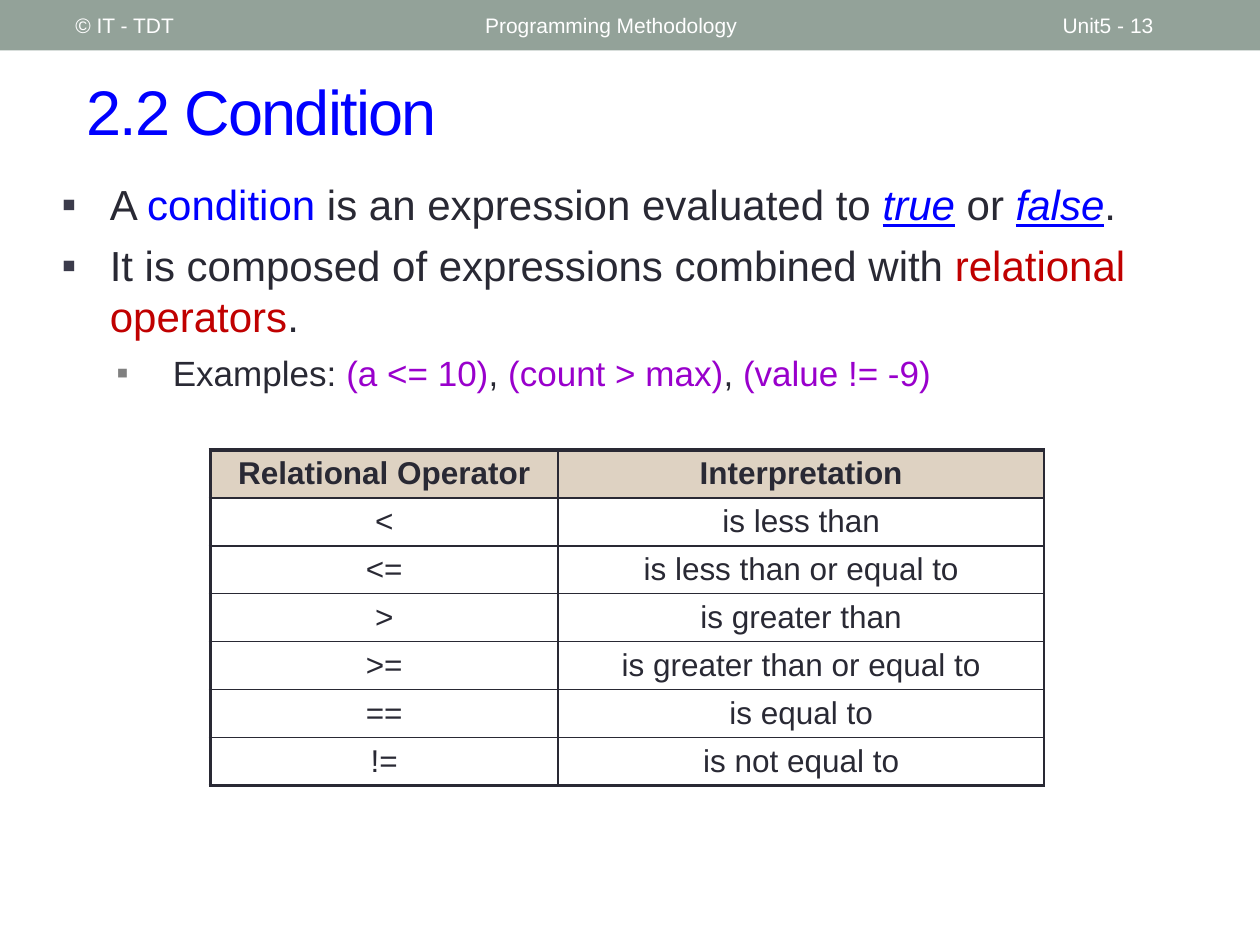
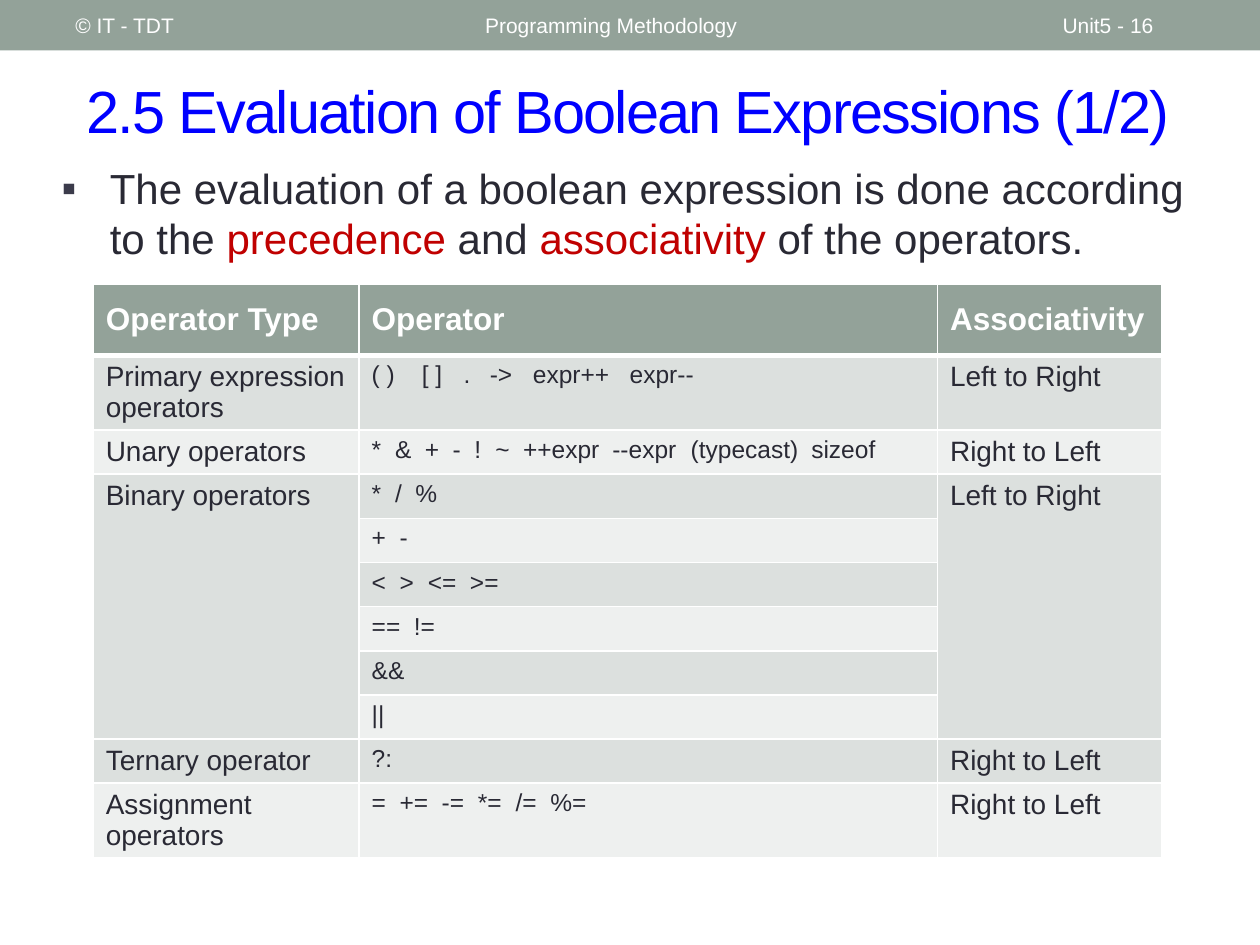
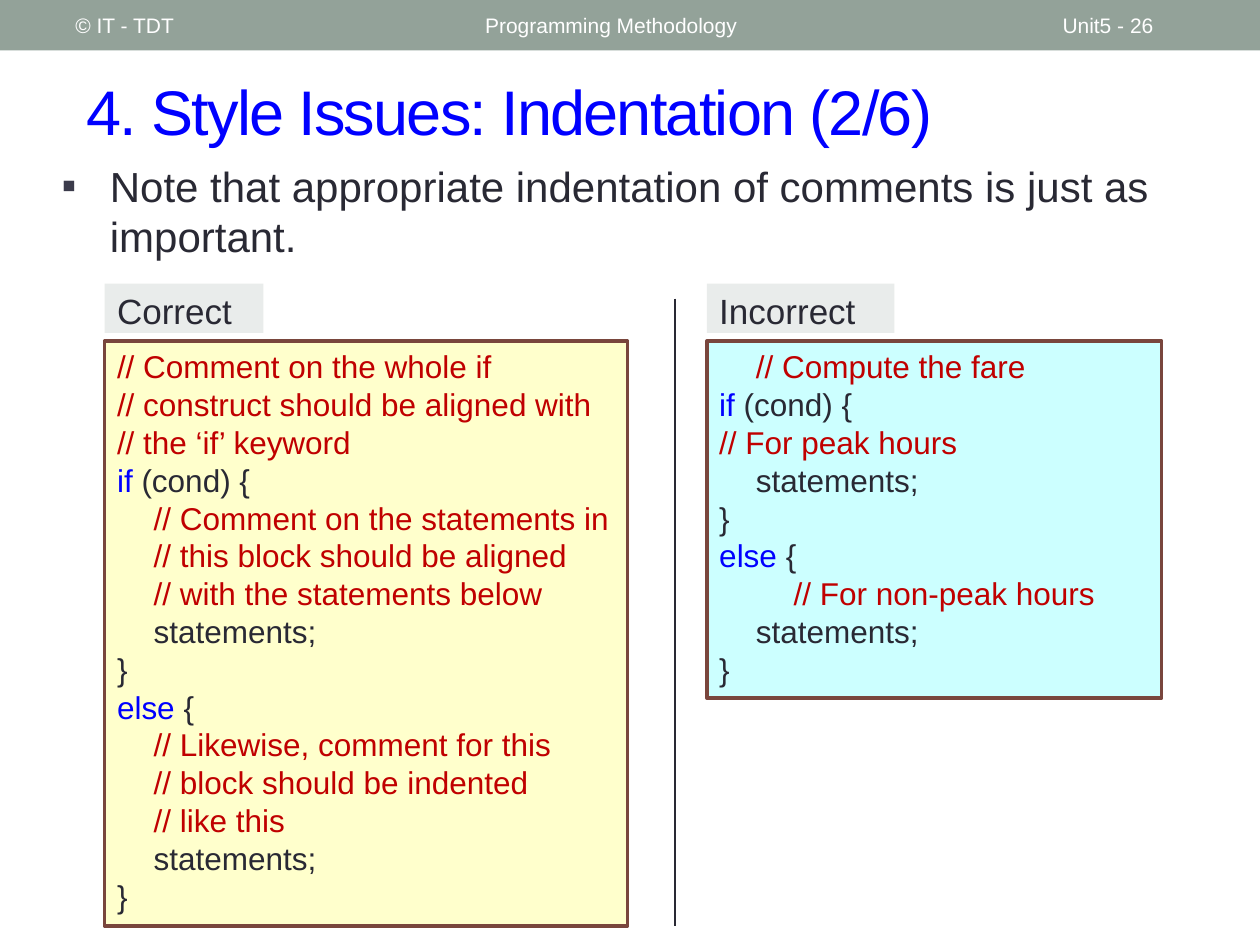
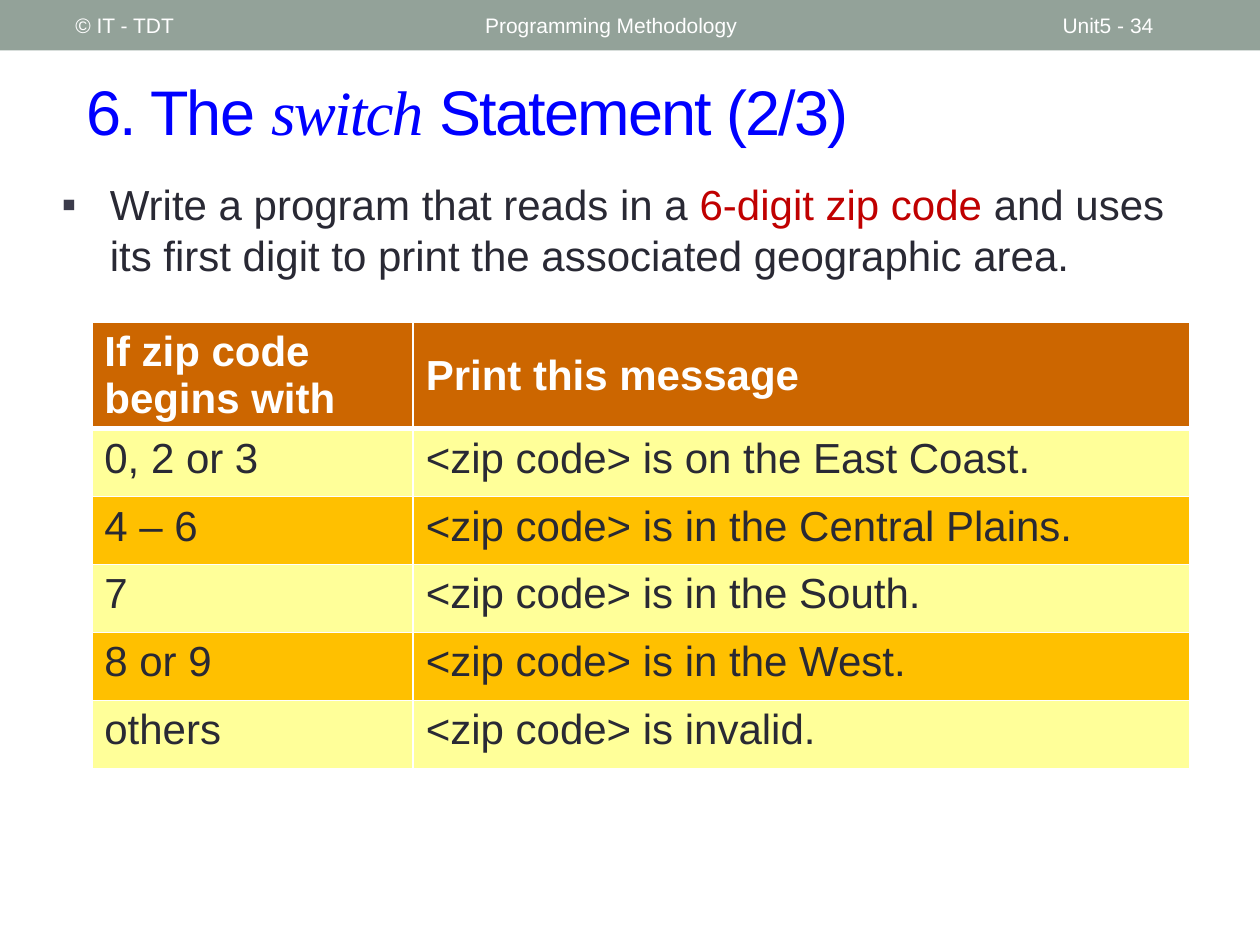
from lxml import etree
from pptx import Presentation
from pptx.dml.color import RGBColor
from pptx.enum.shapes import MSO_CONNECTOR, MSO_SHAPE
from pptx.enum.text import MSO_ANCHOR, MSO_AUTO_SIZE, PP_ALIGN
from pptx.oxml.ns import qn
from pptx.util import Cm, Pt

TOP, MIDDLE = MSO_ANCHOR.TOP, MSO_ANCHOR.MIDDLE
LEFT, CENTER = PP_ALIGN.LEFT, PP_ALIGN.CENTER
NO_AUTOFIT = MSO_AUTO_SIZE.NONE
RECTANGLE, STRAIGHT = MSO_SHAPE.RECTANGLE, MSO_CONNECTOR.STRAIGHT

INK = RGBColor(0x29, 0x29, 0x34)
SAGE = RGBColor(0x93, 0xA2, 0x99)
WHITE = RGBColor(0xFF, 0xFF, 0xFF)
BLUE = RGBColor(0x00, 0x00, 0xFF)
RED = RGBColor(0xC0, 0x00, 0x00)
PURPLE = RGBColor(0x99, 0x00, 0xCC)
BULLET_DARK = RGBColor(0x3B, 0x3B, 0x4B)
BULLET_GREY = RGBColor(0x80, 0x80, 0x80)
SAND = RGBColor(0xDE, 0xD2, 0xC2)
BAND_DARK = RGBColor(0xDC, 0xE0, 0xDE)
BAND_LIGHT = RGBColor(0xEE, 0xF0, 0xEF)
LABEL_GREY = RGBColor(0xE9, 0xEC, 0xEB)
CREAM = RGBColor(0xFF, 0xFF, 0xCC)
AQUA = RGBColor(0xCC, 0xFF, 0xFF)
BROWN = RGBColor(0x79, 0x46, 0x3D)
ORANGE = RGBColor(0xCC, 0x66, 0x00)
AMBER = RGBColor(0xFF, 0xC0, 0x00)
LEMON = RGBColor(0xFF, 0xFF, 0x99)

FONT = "Arial"
# Per list level: text indent, hanging indent, size, bullet colour
LEVELS = [(Cm(0.97), Cm(-0.97), 24, BULLET_DARK),
          (Cm(2.24), Cm(-1.14), 20, BULLET_GREY)]
CODE_TABS = (0.74, 1.5)
KEYWORDS = ("if", "else")


def write(paragraph, text, size=18, color=INK, font=FONT, bold=False,
          italic=False, underline=False, tracking=None):
    run = paragraph.add_run()
    run.text = text
    run.font.name, run.font.size = font, Pt(size)
    run.font.color.rgb = color
    run.font.bold, run.font.italic = bold, italic
    run.font.underline = underline
    if tracking is not None:
        run._r.get_or_add_rPr().set("spc", str(tracking * 100))


def write_runs(paragraph, runs, **style):
    """Write plain strings in the given style and (text, changes) pairs."""
    for part in runs:
        text, changes = (part, {}) if isinstance(part, str) else part
        write(paragraph, text, **{**style, **changes})


def add_solid(parent, tag, color):
    holder = etree.SubElement(parent, qn(tag))
    etree.SubElement(holder, qn("a:srgbClr"), val=str(color))


def set_bullet(paragraph, level):
    indent, hanging, _, color = LEVELS[level]
    properties = paragraph._p.get_or_add_pPr()
    properties.set("marL", str(indent))
    properties.set("indent", str(hanging))
    add_solid(properties, "a:buClr", color)
    etree.SubElement(properties, qn("a:buFont"), typeface=FONT)
    etree.SubElement(properties, qn("a:buChar"), char="▪")


def set_tabs(paragraph, stops):
    tabs = etree.SubElement(paragraph._p.get_or_add_pPr(), qn("a:tabLst"))
    for stop in stops:
        etree.SubElement(tabs, qn("a:tab"), pos=str(Cm(stop)), algn="l")


def set_borders(cell, color, **widths):
    """Draw the cell edges L, R, T and B with widths in points."""
    properties = cell._tc.get_or_add_tcPr()
    for position, edge in enumerate("LRTB"):
        line = etree.Element(qn(f"a:ln{edge}"), w=str(Pt(widths[edge])))
        add_solid(line, "a:solidFill", color)
        properties.insert(position, line)


def color_code(line):
    """Split a code line into runs: red comments, blue keywords."""
    if line.strip().startswith("//"):
        return [(line, {"color": RED})]
    word, space, rest = line.partition(" ")
    if word in KEYWORDS:
        return [(word, {"color": BLUE}), space + rest]
    return [line]


class Deck:
    def __init__(self):
        self.presentation = Presentation()
        self.presentation.slide_width = Cm(25.4)
        self.presentation.slide_height = Cm(19.05)
        self.slide = None

    def start(self, number, *title, size=36):
        """Begin a slide with its band, running header and title."""
        layout = self.presentation.slide_layouts[1]
        self.slide = self.presentation.slides.add_slide(layout)
        self.box(0, 0, 25.4, 1.02, SAGE)
        for left, width, text in ((9.53, 11.43, "Programming Methodology"),
                                  (21.17, 2.97, f"Unit5 - {number}"),
                                  (1.27, 8.05, "© IT - TDT")):
            self.header_text(left, width, text)
        heading = self.slide.shapes.title
        self.place(heading, 1.49, 1.05, 23.29, 2.34, MIDDLE)
        paragraph = heading.text_frame.paragraphs[0]
        paragraph.alignment = LEFT
        write_runs(paragraph, title, size=size, color=BLUE, tracking=-1)

    def place(self, shape, left, top, width, height, anchor):
        shape.left, shape.top = Cm(left), Cm(top)
        shape.width, shape.height = Cm(width), Cm(height)
        frame = shape.text_frame
        frame.word_wrap, frame.auto_size = True, NO_AUTOFIT
        frame.vertical_anchor = anchor

    def header_text(self, left, width, text):
        header = self.slide.shapes.add_textbox(0, 0, 0, 0)
        self.place(header, left, 0.05, width, 0.91, MIDDLE)
        write(header.text_frame.paragraphs[0], text, size=12, color=WHITE)

    def bullets(self, top, height, *items, width=23.32):
        """Fill the body with (level, runs) items."""
        body = self.slide.placeholders[1]
        self.place(body, 0.99, top, width, height, TOP)
        frame = body.text_frame
        for index, (level, runs) in enumerate(items):
            paragraph = frame.add_paragraph() if index else frame.paragraphs[0]
            paragraph.level = level
            set_bullet(paragraph, level)
            paragraph.space_before = Pt(6 if index else 0)
            write_runs(paragraph, runs, size=LEVELS[level][2])

    def box(self, left, top, width, height, fill, outline=None):
        shape = self.slide.shapes.add_shape(RECTANGLE, 0, 0, 0, 0)
        self.place(shape, left, top, width, height, TOP)
        shape.shadow.inherit = False
        shape.fill.solid()
        shape.fill.fore_color.rgb = fill
        if outline is None:
            shape.line.fill.background()
        else:
            shape.line.color.rgb = outline
            shape.line.width = Pt(2.08)
        return shape.text_frame

    def code(self, left, width, height, fill, label, label_width, listing):
        """Add a labelled box of code."""
        caption = self.box(left, 5.72, label_width, 0.99, LABEL_GREY)
        caption.paragraphs[0].alignment = LEFT
        write(caption.paragraphs[0], label, size=20)
        frame = self.box(left, 6.88, width, height, fill, BROWN)
        for index, line in enumerate(listing):
            paragraph = frame.add_paragraph() if index else frame.paragraphs[0]
            set_tabs(paragraph, CODE_TABS)
            paragraph.alignment = LEFT
            write_runs(paragraph, color_code(line))

    def divider(self, x, top, bottom):
        line = self.slide.shapes.add_connector(
            STRAIGHT, Cm(x), Cm(top), Cm(x), Cm(bottom))
        line.line.color.rgb, line.line.width = INK, Pt(1.5)
        etree.SubElement(line._element.spPr, qn("a:effectLst"))

    def table(self, left, top, widths, heights, rows, sizes, header,
              header_fill, bands=(None,), rule=WHITE, frame=1, header_rule=1,
              align=LEFT, header_anchor=TOP):
        """Add a table; None continues the cell above, a pair adds tab stops."""
        grid = self.slide.shapes.add_table(
            len(rows), len(widths), Cm(left), Cm(top),
            Cm(sum(widths)), Cm(sum(heights))).table
        grid.first_row = grid.horz_banding = False
        for column, width in zip(grid.columns, widths):
            column.width = Cm(width)
        last = len(rows) - 1
        for r, values in enumerate(rows):
            grid.rows[r].height = Cm(heights[r])
            fill = bands[(r - 1) % len(bands)] if r else header_fill
            for c, value in enumerate(values):
                cell = grid.cell(r, c)
                if fill is None:
                    cell.fill.background()
                else:
                    cell.fill.solid()
                    cell.fill.fore_color.rgb = fill
                set_borders(cell, rule, L=1 if c else frame, R=1,
                            T=frame if r == 0 else header_rule if r == 1 else 1,
                            B=header_rule if r == 0
                            else frame if r == last else 1)
                if value is None:
                    continue
                text, stops = (value, ()) if isinstance(value, str) else value
                paragraph = cell.text_frame.paragraphs[0]
                if stops:
                    set_tabs(paragraph, stops)
                paragraph.alignment = align
                cell.vertical_anchor = TOP if r else header_anchor
                style = {"size": sizes[c]} if r else header
                write(paragraph, text, bold=r == 0, **style)
        for c in range(len(widths)):
            start = 0
            for r in range(1, len(rows) + 1):
                if r > last or rows[r][c] is not None:
                    if r - start > 1:
                        grid.cell(start, c).merge(grid.cell(r - 1, c))
                    start = r


def condition_slide(deck):
    deck.start(13, "2.2 Condition")
    blue, purple = {"color": BLUE}, {"color": PURPLE}
    truth = {"color": BLUE, "italic": True, "underline": True}
    deck.bullets(
        3.48, 5.08,
        (0, ["A ", ("condition", blue), " is an expression evaluated to ",
             ("true", truth), " or ", ("false", truth), "."]),
        (0, ["It is composed of expressions combined with ",
             ("relational operators", {"color": RED}), "."]),
        (1, ["Examples: ", ("(a <= 10)", purple), ", ",
             ("(count > max)", purple), ", ", ("(value != -9)", purple)]))
    operators = [
        ("Relational Operator", "Interpretation"),
        ("<", "is less than"),
        ("<=", "is less than or equal to"),
        (">", "is greater than"),
        (">=", "is greater than or equal to"),
        ("==", "is equal to"),
        ("!=", "is not equal to")]
    deck.table(4.24, 9.07, (7.01, 9.8), [0.96] * len(operators), operators,
               sizes=(18, 18), header={"size": 18}, header_fill=SAND,
               rule=INK, frame=2.25, align=CENTER)


def evaluation_slide(deck):
    deck.start(16, "2.5 Evaluation of Boolean Expressions (1/2)", size=34)
    red = {"color": RED}
    deck.bullets(
        3.15, 3.15,
        (0, ["The evaluation of a boolean expression is done according to the ",
             ("precedence", red), " and ", ("associativity", red),
             " of the operators."]))
    forward, backward = "Left to Right", "Right to Left"
    precedence = [
        ("Operator Type", "Operator", "Associativity"),
        ("Primary expression operators",
         ("( )\t[ ]\t.\t->\texpr++\texpr--", (1.01, 1.85, 2.38, 3.25, 5.2)),
         forward),
        ("Unary operators",
         ("*\t&\t+\t-\t!\t~\t++expr\t--expr\t(typecast)\tsizeof",
          (0.47, 1.07, 1.63, 2.07, 2.49, 3.05, 4.85, 6.43, 8.86)),
         backward),
        ("Binary operators", ("*\t/\t%", (0.47, 0.88)), forward),
        (None, ("+\t-", (0.56,)), None),
        (None, ("<\t>\t<=\t>=", (0.56, 1.13, 1.98)), None),
        (None, ("==\t!=", (0.85,)), None),
        (None, "&&", None),
        (None, "||", None),
        ("Ternary operator", "?:", backward),
        ("Assignment operators",
         ("=\t+=\t-=\t*=\t/=\t%=", (0.56, 1.41, 2.14, 2.9, 3.6)), backward)]
    deck.table(1.88, 5.74, (5.36, 11.66, 4.52),
               [1.42, 1.5] + [0.89] * 8 + [1.5], precedence,
               sizes=(16, 14, 16), header={"size": 18, "color": WHITE},
               header_fill=SAGE, bands=(BAND_DARK, BAND_LIGHT),
               header_rule=3, header_anchor=MIDDLE)


def indentation_slide(deck):
    deck.start(26, "4. Style Issues: Indentation (2/6)")
    deck.bullets(3.1, 2.74,
                 (0, ["Note that appropriate indentation of comments is "
                      "just as important."]), width=23.98)
    deck.divider(13.61, 6.02, 18.67)
    deck.code(2.11, 10.54, 11.79, CREAM, "Correct", 3.2, [
        "// Comment on the whole if",
        "// construct should be aligned with",
        "// the ‘if’ keyword",
        "if (cond) {",
        "\t// Comment on the statements in",
        "\t// this block should be aligned",
        "\t// with the statements below",
        "\tstatements;",
        "}",
        "else {",
        "\t// Likewise, comment for this",
        "\t// block should be indented",
        "\t// like this",
        "\tstatements;",
        "}"])
    deck.code(14.25, 9.17, 7.19, AQUA, "Incorrect", 3.78, [
        "\t// Compute the fare",
        "if (cond) {",
        "// For peak hours",
        "\tstatements;",
        "}",
        "else {",
        "\t\t// For non-peak hours",
        "\tstatements;",
        "}"])


def switch_slide(deck):
    deck.start(34, "6. The ",
               ("switch", {"font": "Times New Roman", "italic": True}),
               " Statement (2/3)")
    deck.bullets(
        3.48, 2.41,
        (0, ["Write a program that reads in a ",
             ("6-digit zip code ", {"color": RED}),
             "and uses its first digit to print the associated "
             "geographic area."]), width=23.37)
    messages = [
        ("If zip code begins with", "Print this message"),
        ("0, 2 or 3", "<zip code> is on the East Coast."),
        ("4 – 6", "<zip code> is in the Central Plains."),
        ("7", "<zip code> is in the South."),
        ("8 or 9", "<zip code> is in the West."),
        ("others", "<zip code> is invalid.")]
    deck.table(1.85, 6.5, (6.48, 15.65), [2.12] + [1.37] * 5, messages,
               sizes=(24, 24), header={"size": 24, "color": WHITE},
               header_fill=ORANGE, bands=(LEMON, AMBER),
               header_rule=3, header_anchor=MIDDLE)


def main():
    deck = Deck()
    for build in (condition_slide, evaluation_slide,
                  indentation_slide, switch_slide):
        build(deck)
    deck.presentation.save("out.pptx")


if __name__ == "__main__":
    main()
